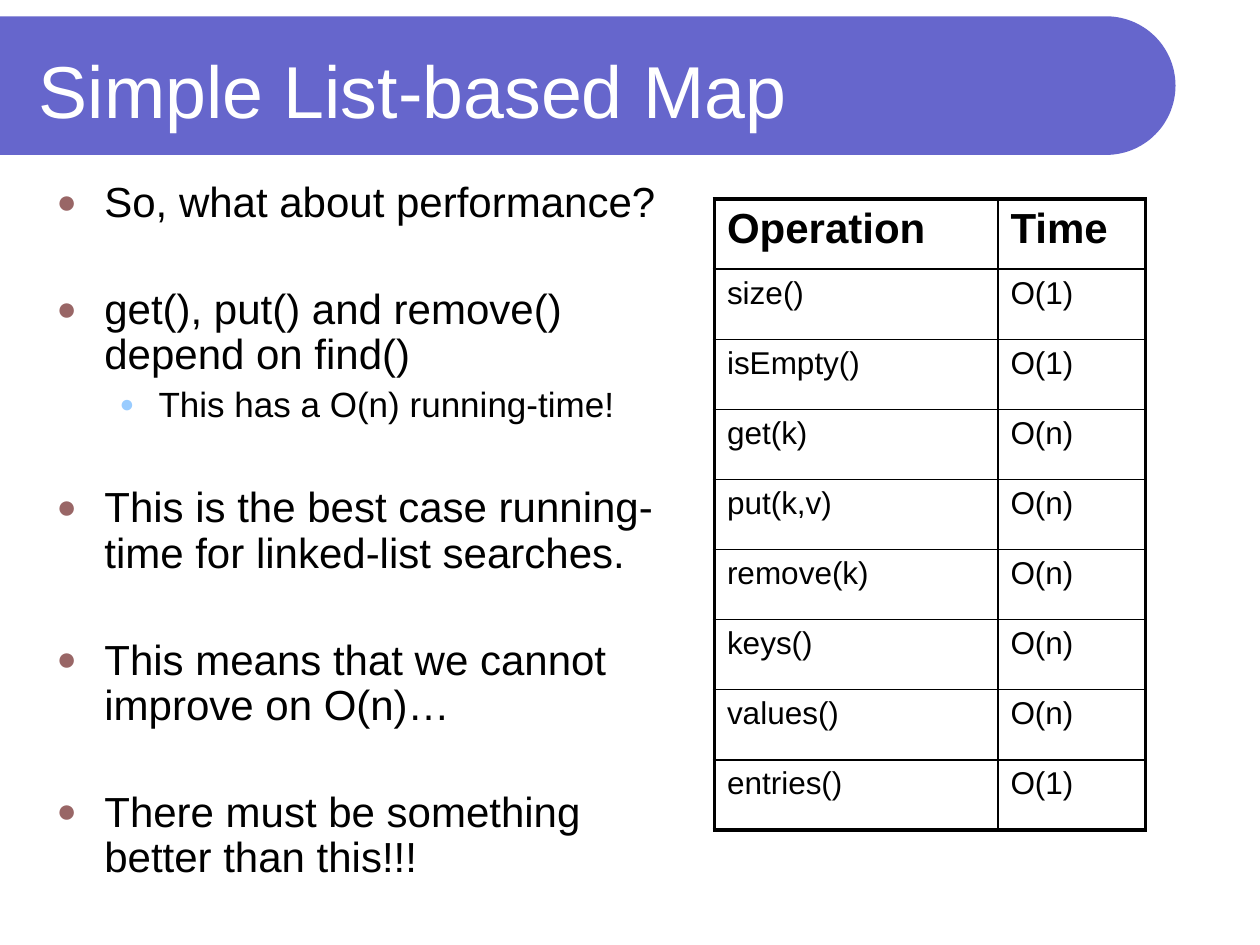
import math

import pptx
import pptx.dml.color
import pptx.enum.text
import pptx.oxml
import pptx.oxml.ns
import pptx.util

RGBColor = pptx.dml.color.RGBColor
WHITE = RGBColor(0xFF, 0xFF, 0xFF)
BLACK = RGBColor(0, 0, 0)
BANNER_BLUE = RGBColor(0x66, 0x66, 0xCC)
BULLET_ROSE = RGBColor(0x99, 0x66, 0x66)
BULLET_SKY = RGBColor(0x99, 0xCC, 0xFF)

FONT = "Arial"
SLIDE_WIDTH, SLIDE_HEIGHT = 10, 7.5
THIN, THICK = 1, 2.25
SECTION_GAP, DETAIL_GAP = 35.2, 4.6

POINTS = [
    ("So, what about performance?", 0),
    ("get(), put() and remove() depend on find()", 0),
    ("This has a O(n) running-time!", 1),
    ("This is the best case running-time for linked-list searches.", 0),
    ("This means that we cannot improve on O(n)…", 0),
    ("There must be something better than this!!!", 0),
]
LEVELS = [
    dict(size=24, left=0.38, hanging=0.38, color=BULLET_ROSE, percent=80, gap=SECTION_GAP),
    dict(size=20, left=0.81, hanging=0.31, color=BULLET_SKY, percent=70, gap=DETAIL_GAP),
]
RUNNING_TIMES = [
    ("Operation", "Time"),
    ("size()", "O(1)"),
    ("isEmpty()", "O(1)"),
    ("get(k)", "O(n)"),
    ("put(k,v)", "O(n)"),
    ("remove(k)", "O(n)"),
    ("keys()", "O(n)"),
    ("values()", "O(n)"),
    ("entries()", "O(1)"),
]
COLUMN_WIDTHS = (2.25, 1.17)
TABLE_HEIGHT = 5.01


def inches(*lengths):
    return [pptx.util.Inches(length) for length in lengths]


def write_text(paragraph, text, size=18, color=BLACK, bold=False, spacing=None, before=None):
    if spacing is not None:
        paragraph.line_spacing = spacing
    if before is not None:
        paragraph.space_before = pptx.util.Pt(before)
    run = paragraph.add_run()
    run.text = text
    run.font.name = FONT
    run.font.size = pptx.util.Pt(size)
    run.font.bold = bold
    run.font.color.rgb = color


def add_xml(parent, xml, index=None):
    namespace = pptx.oxml.ns.nsdecls("a")
    element = pptx.oxml.parse_xml(xml.replace(">", f" {namespace}>", 1))
    parent.insert(len(parent) if index is None else index, element)


def add_bullet(paragraph, left, hanging, color, percent):
    properties = paragraph._p.get_or_add_pPr()
    properties.set("marL", str(pptx.util.Inches(left)))
    properties.set("indent", str(-pptx.util.Inches(hanging)))
    add_xml(properties, f'<a:buClr><a:srgbClr val="{color}"/></a:buClr>')
    add_xml(properties, f'<a:buSzPct val="{percent * 1000}"></a:buSzPct>')
    add_xml(properties, f'<a:buFont typeface="{FONT}"></a:buFont>')
    add_xml(properties, '<a:buChar char="●"></a:buChar>')


def add_banner(slide, top, width, height):
    radius = height / 2
    arc_steps = 60
    angles = [math.pi * (step / arc_steps - 0.5) for step in range(arc_steps + 1)]
    arc = [
        inches(width - radius + radius * math.cos(angle), top + radius + radius * math.sin(angle))
        for angle in angles
    ]
    builder = slide.shapes.build_freeform(*inches(0, top))
    builder.add_line_segments(arc + [inches(0, top + height)], close=True)
    banner = builder.convert_to_shape()
    banner.shadow.inherit = False
    banner.fill.solid()
    banner.fill.fore_color.rgb = BANNER_BLUE
    banner.line.fill.background()


def add_text_frame(slide, left, top, width, height):
    frame = slide.shapes.add_textbox(*inches(left, top, width, height)).text_frame
    frame.word_wrap = True
    return frame


def add_title(slide, text):
    frame = add_text_frame(slide, 0.21, 0.21, 8.77, 1)
    frame.vertical_anchor = pptx.enum.text.MSO_ANCHOR.MIDDLE
    write_text(frame.paragraphs[0], text, size=42, color=WHITE)


def add_points(slide):
    frame = add_text_frame(slide, 0.35, 1.39, 4.98, 5.75)
    for index, (text, depth) in enumerate(POINTS):
        level = LEVELS[depth]
        paragraph = frame.add_paragraph() if index else frame.paragraphs[0]
        paragraph.level = depth
        write_text(paragraph, text, size=level["size"], spacing=0.9,
                   before=level["gap"] if index else 0)
        add_bullet(paragraph, level["left"], level["hanging"], level["color"], level["percent"])


def set_borders(cell, left, right, top, bottom):
    properties = cell._tc.get_or_add_tcPr()
    sides = {"lnL": left, "lnR": right, "lnT": top, "lnB": bottom}
    for index, (side, width) in enumerate(sides.items()):
        add_xml(
            properties,
            f'<a:{side} w="{pptx.util.Pt(width)}"><a:solidFill>'
            f'<a:srgbClr val="{BLACK}"/></a:solidFill></a:{side}>',
            index,
        )


def add_running_times(slide):
    row_count, column_count = len(RUNNING_TIMES), len(COLUMN_WIDTHS)
    table = slide.shapes.add_table(
        row_count, column_count, *inches(5.67, 1.58, sum(COLUMN_WIDTHS), TABLE_HEIGHT)
    ).table
    table.first_row = table.horz_banding = False
    for column, width in zip(table.columns, COLUMN_WIDTHS):
        column.width = pptx.util.Inches(width)
    for row_index, values in enumerate(RUNNING_TIMES):
        header = row_index == 0
        for column_index, value in enumerate(values):
            cell = table.cell(row_index, column_index)
            cell.fill.background()
            write_text(cell.text_frame.paragraphs[0], value,
                       size=24 if header else 18, bold=header)
            set_borders(
                cell,
                left=THICK if column_index == 0 else THIN,
                right=THICK if column_index == column_count - 1 else THIN,
                top=THICK if header else THIN,
                bottom=THICK if row_index == row_count - 1 else THIN,
            )


def main():
    presentation = pptx.Presentation()
    presentation.slide_width, presentation.slide_height = inches(SLIDE_WIDTH, SLIDE_HEIGHT)
    slide = presentation.slides.add_slide(presentation.slide_layouts[6])
    add_banner(slide, top=0.13, width=9.33, height=1.1)
    add_title(slide, "Simple List-based Map")
    add_points(slide)
    add_running_times(slide)
    presentation.save("out.pptx")


if __name__ == "__main__":
    main()
